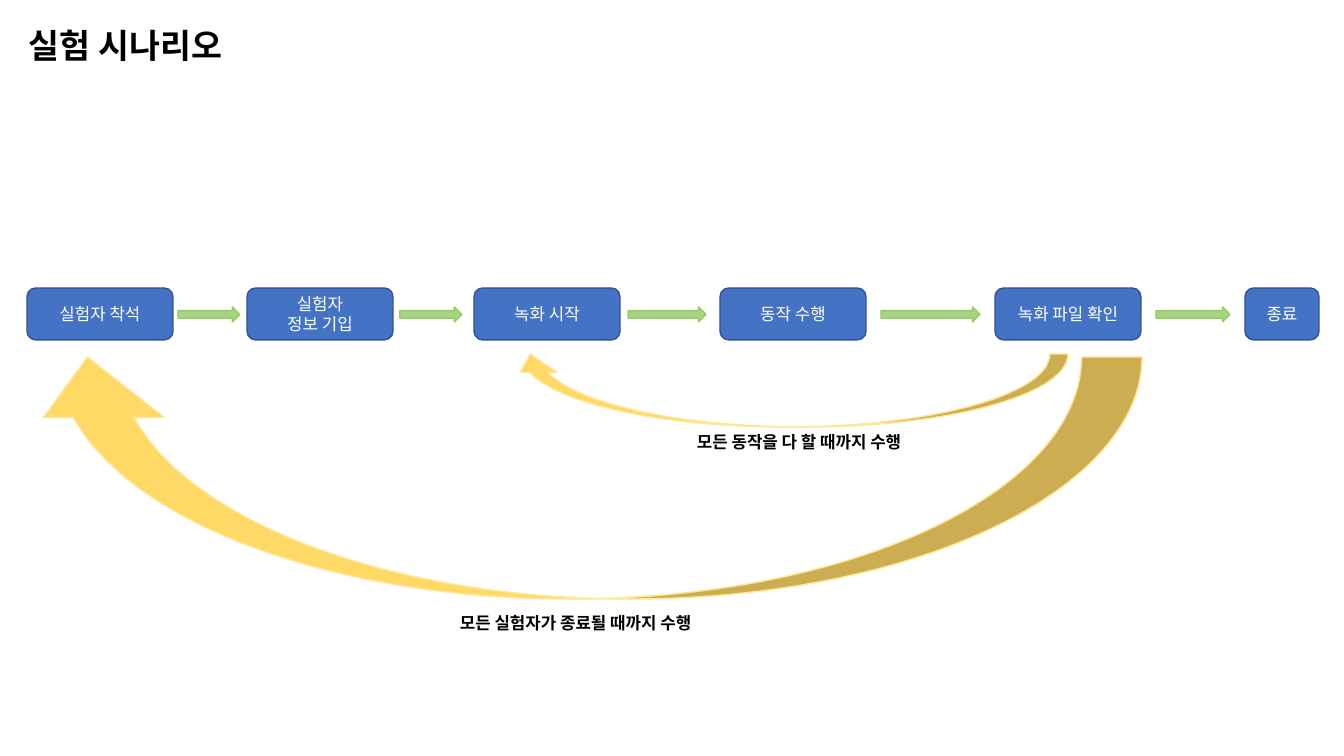
"""Build the experiment scenario slide: six steps, arrows between them and two return loops."""
from lxml.etree import SubElement
from pptx import Presentation
from pptx.dml.color import RGBColor
from pptx.enum.shapes import MSO_SHAPE
from pptx.enum.text import MSO_ANCHOR, MSO_AUTO_SIZE, PP_ALIGN
from pptx.oxml.ns import qn
from pptx.util import Pt

PX = 914400 / 100.8
FONT = "Noto Sans CJK KR"
BLACK = RGBColor(0x00, 0x00, 0x00)
WHITE = RGBColor(0xFF, 0xFF, 0xFF)
STEP_FILL = RGBColor(0x44, 0x72, 0xC4)
STEP_LINE = RGBColor(0x32, 0x54, 0x91)
NEXT_FILL = RGBColor(0xA9, 0xD1, 0x8E)
NEXT_LINE = RGBColor(0x92, 0xD0, 0x50)
LOOP_FILL = RGBColor(0xFF, 0xD9, 0x66)
LOOP_LINE = RGBColor(0xFF, 0xE6, 0x99)

STEP_TOP, STEP_HEIGHT = 288, 52
NEXT_HEIGHT = 15
NEXT_TOP = STEP_TOP + (STEP_HEIGHT - NEXT_HEIGHT) // 2 + 1

presentation = Presentation()
presentation.slide_width = round(1344 * PX)
presentation.slide_height = round(756 * PX)
slide = presentation.slides.add_slide(presentation.slide_layouts[6])


def add_block(preset, box, fill, line):
    block = slide.shapes.add_shape(preset, *(round(v * PX) for v in box))
    block.shadow.inherit = False
    block.fill.solid()
    block.fill.fore_color.rgb = fill
    block.line.color.rgb = line
    block.line.width = Pt(1)
    return block


def add_text(paragraph, text, size, color, bold=False):
    run = paragraph.add_run()
    run.text = text
    run.font.size = Pt(size)
    run.font.bold = bold
    run.font.name = FONT
    run.font.color.rgb = color
    SubElement(run.font._element, qn("a:ea"), typeface=FONT)


steps = [
    (27, 146, ["실험자 착석"]),
    (247, 146, ["실험자", "정보 기입"]),
    (474, 146, ["녹화 시작"]),
    (720, 146, ["동작 수행"]),
    (995, 146, ["녹화 파일 확인"]),
    (1245, 74, ["종료"]),
]
for left, width, lines in steps:
    step = add_block(MSO_SHAPE.ROUNDED_RECTANGLE,
                     (left, STEP_TOP, width, STEP_HEIGHT), STEP_FILL, STEP_LINE)
    frame = step.text_frame
    frame.word_wrap = True
    frame.vertical_anchor = MSO_ANCHOR.MIDDLE
    for index, text in enumerate(lines):
        paragraph = frame.add_paragraph() if index else frame.paragraphs[0]
        paragraph.alignment = PP_ALIGN.CENTER
        add_text(paragraph, text, 12, WHITE)

for left, width in [(178, 62), (400, 62), (628, 78), (881, 99), (1156, 74)]:
    add_block(MSO_SHAPE.RIGHT_ARROW, (left, NEXT_TOP, width, NEXT_HEIGHT),
              NEXT_FILL, NEXT_LINE)

for box in [(512, 354, 556, 73), (27, 357, 1115, 242)]:
    loop = add_block(MSO_SHAPE.CURVED_DOWN_ARROW, box, LOOP_FILL, LOOP_LINE)
    loop.rotation = 180

labels = [
    ("실험 시나리오", 24, (19, 20, 232, 50)),
    ("모든 동작을 다 할 때까지 수행", 12, (687, 427, 243, 30)),
    ("모든 실험자가 종료될 때까지 수행", 12, (450, 608, 277, 30)),
]
for text, size, box in labels:
    label = slide.shapes.add_textbox(*(round(v * PX) for v in box))
    label.text_frame.word_wrap = False
    label.text_frame.auto_size = MSO_AUTO_SIZE.SHAPE_TO_FIT_TEXT
    add_text(label.text_frame.paragraphs[0], text, size, BLACK, bold=True)

presentation.save("out.pptx")
